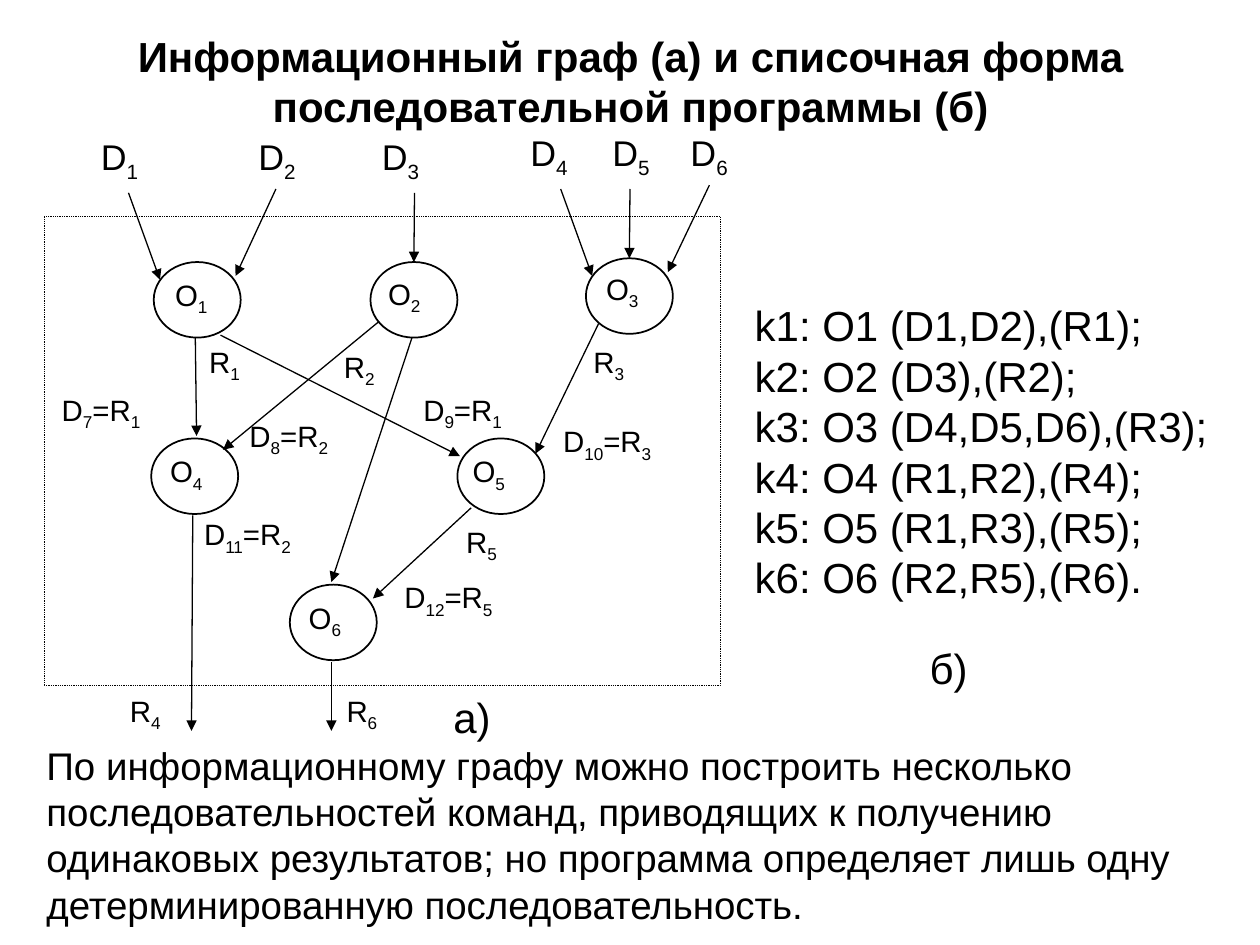
"""Build the slide with an information graph and its sequential program."""
from itertools import groupby

from lxml import etree
from pptx import Presentation
from pptx.dml.color import RGBColor
from pptx.enum import dml, shapes, text
from pptx.oxml.ns import qn
from pptx.util import Pt

THEME = {
    "font": "Arial", "ink": RGBColor(0, 0, 0),
    "title": 24, "program": 24, "caption": 24, "body": 22, "input": 20.4, "label": 16.8,
    "circle_line": 1, "arrow_line": 0.75, "frame_line": 0.5,
}

prs = Presentation()
prs.slide_width, prs.slide_height = Pt(720), Pt(540)
COL, ROW = prs.slide_width / 100, prs.slide_height / 75
s = prs.slides.add_slide(prs.slide_layouts[6])


def add_text(x, y, w, h, lines, size, inset=0.1, subscripts=False, bold=False):
    box = s.shapes.add_textbox(int(x * COL), int(y * ROW), int(w * COL), int(h * ROW))
    tf = box.text_frame
    tf.word_wrap = True
    tf.margin_left = tf.margin_right = int(inset * COL)
    tf.margin_top = tf.margin_bottom = int(inset * ROW / (1 if inset < 1 else 2))
    for i, line in enumerate(lines):
        p = tf.paragraphs[0] if i == 0 else tf.add_paragraph()
        p.font.name, p.font.size, p.font.bold = THEME["font"], Pt(THEME[size]), bold
        p.font.color.rgb = THEME["ink"]
        parts = groupby(line, str.isdigit) if subscripts else [(False, line)]
        for lowered, chars in parts:
            r = p.add_run()
            r.text = "".join(chars)
            if lowered:
                r.font._element.set("baseline", "-25000")
    return tf


def add_outline(kind, x, y, w, h, width):
    sp = s.shapes.add_shape(kind, int(x * COL), int(y * ROW), int(w * COL), int(h * ROW))
    sp.shadow.inherit = False
    sp.fill.background()
    sp.line.color.rgb = THEME["ink"]
    sp.line.width = Pt(THEME[width])
    return sp


tf = add_text(2, 1.7, 96.1, 9.4,
              ["Информационный граф (а) и списочная форма последовательной программы (б)"],
              "title", inset=1, bold=True)
tf.vertical_anchor = text.MSO_ANCHOR.MIDDLE
tf.paragraphs[0].alignment = text.PP_ALIGN.CENTER

program = [
    "k1: O1 (D1,D2),(R1);",
    "k2: O2 (D3),(R2);",
    "k3: O3 (D4,D5,D6),(R3);",
    "k4: O4 (R1,R2),(R4);",
    "k5: O5 (R1,R3),(R5);",
    "k6: O6 (R2,R5),(R6).",
]
add_text(59.8, 23.7, 37.4, 37.8, program, "program")
add_text(2.7, 58.4, 94.9, 15.7,
         ["По информационному графу можно построить несколько последовательностей команд, "
          "приводящих к получению одинаковых результатов; но программа определяет лишь одну "
          "детерминированную последовательность."], "body", inset=1)

frame = add_outline(shapes.MSO_SHAPE.RECTANGLE, 3.5, 17.2, 53.7, 37.2, "frame_line")
frame.line.dash_style = dml.MSO_LINE.ROUND_DOT

operators = {
    "O1": (12.2, 20.8, 13.8, 21.9), "O2": (29.4, 20.8, 30.7, 21.8),
    "O3": (46.5, 20.5, 48, 21.4), "O4": (12, 34.8, 13.4, 35.9),
    "O5": (36.3, 34.8, 37.4, 35.9), "O6": (23, 46.4, 24.4, 47.5),
}
circles = {}
for name, (x, y, label_x, label_y) in operators.items():
    circles[name] = add_outline(shapes.MSO_SHAPE.OVAL, x, y, 6.9, 6, "circle_line")
    add_text(label_x, label_y, 6.1, 3.6, [name], "label", subscripts=True)

arrows = [
    (10.2, 15.3, 12.7, 22.2, None), (21.9, 15, 18.7, 21.9, None),
    (32.9, 15.3, 32.9, 20.8, "O2"), (44.5, 15, 47, 21.9, None),
    (50, 15, 50, 20.5, "O3"), (56.3, 14.7, 53, 21.6, None),
    (15.5, 26.8, 15.6, 34.6, None), (17.5, 26.6, 36.5, 36.2, None),
    (30.1, 25.5, 17.7, 35.7, None), (32.7, 26.8, 26.3, 46.2, None),
    (47.5, 25.7, 42.5, 36, None), (37.4, 40.3, 29.6, 47.5, None),
    (15.3, 40.9, 15.2, 58, None), (26.3, 52.5, 26.3, 58, None),
]
for x1, y1, x2, y2, target in arrows:
    cxn = s.shapes.add_connector(shapes.MSO_CONNECTOR.STRAIGHT, int(x1 * COL), int(y1 * ROW),
                                 int(x2 * COL), int(y2 * ROW))
    if target:
        cxn.end_connect(circles[target], 0)
    cxn.line.color.rgb = THEME["ink"]
    cxn.line.width = Pt(THEME["arrow_line"])
    etree.SubElement(cxn.line._get_or_add_ln(), qn("a:tailEnd"), type="triangle")
    etree.SubElement(cxn._element.spPr, qn("a:effectLst"))

inputs = [("D1", 7.9, 10.6), ("D2", 20.4, 10.6), ("D3", 30.2, 10.6),
          ("D4", 42, 10.3), ("D5", 48.5, 10.3), ("D6", 54.7, 10.3)]
for name, x, y in inputs:
    add_text(x, y, 5.9, 4.4, [name], "input", subscripts=True)

results = [("R1", 16.5, 27.2), ("R2", 27.2, 27.6), ("R3", 47, 27.2),
           ("R4", 10.2, 54.9), ("R5", 36.9, 41.5), ("R6", 27.4, 54.9)]
for name, x, y in results:
    add_text(x, y, 5.9, 3.8, [name], "label", subscripts=True)

transfers = [("D7=R1", 4.8, 31, 9.7), ("D8=R2", 19.7, 33.1, 9.7), ("D9=R1", 33.5, 31, 9.7),
             ("D10=R3", 44.6, 33.5, 12.7), ("D11=R2", 16.1, 40.9, 10.9),
             ("D12=R5", 32, 45.9, 13.7)]
for name, x, y, w in transfers:
    add_text(x, y, w, 3.6, [name], "label", subscripts=True)

for caption, x, y in [("а)", 35, 54.4), ("б)", 72.8, 50.5)]:
    add_text(x, y, 6.3, 5, [caption], "caption", inset=1)

prs.save("out.pptx")
